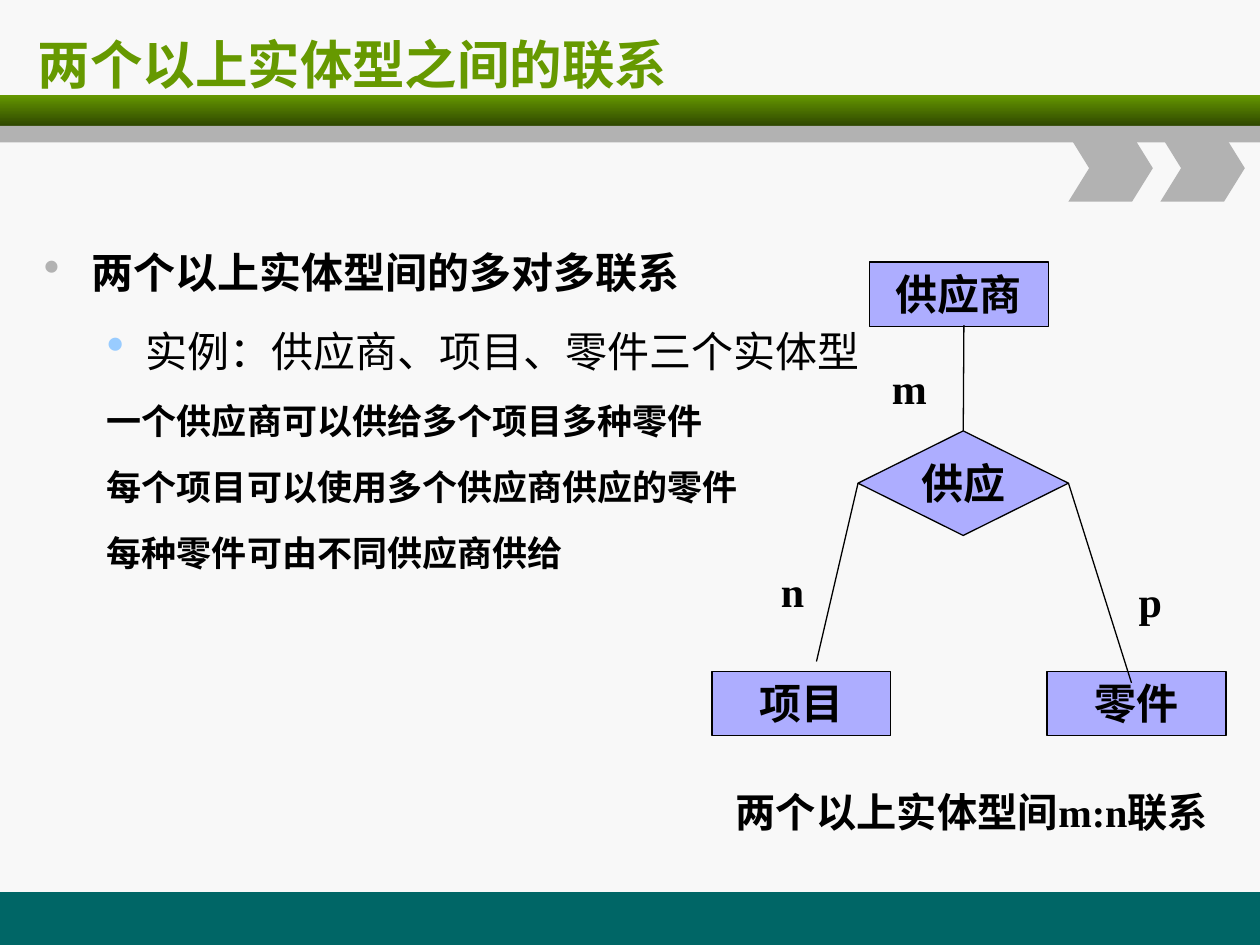
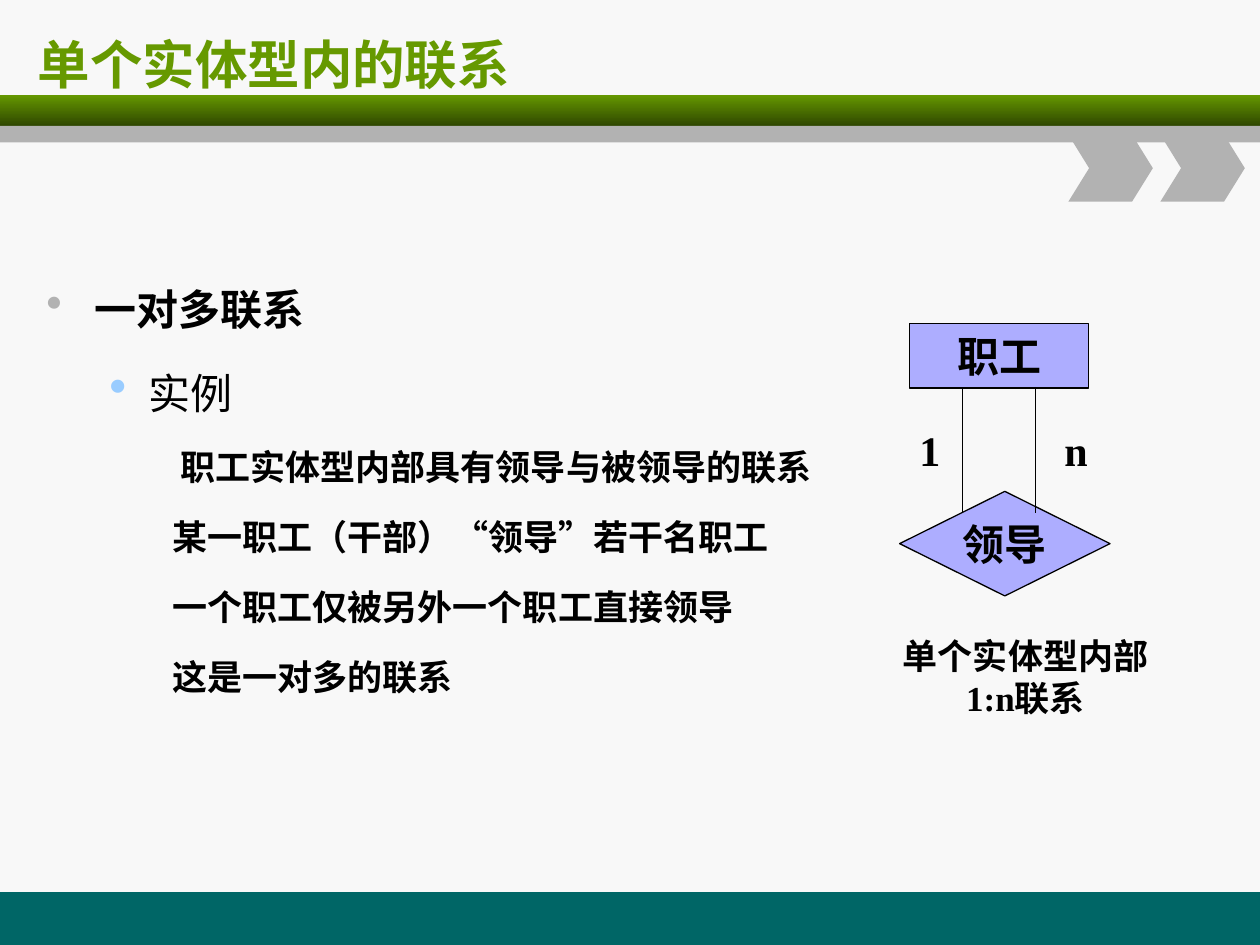
from dataclasses import dataclass

from lxml import etree
from pptx import Presentation
from pptx.dml.color import RGBColor
from pptx.enum.shapes import MSO_CONNECTOR, MSO_SHAPE
from pptx.enum.text import MSO_ANCHOR, PP_ALIGN
from pptx.oxml.ns import qn
from pptx.util import Inches, Pt

RECTANGLE, DIAMOND, CHEVRON = MSO_SHAPE.RECTANGLE, MSO_SHAPE.DIAMOND, MSO_SHAPE.CHEVRON
STRAIGHT = MSO_CONNECTOR.STRAIGHT
LEFT, CENTER, RIGHT = PP_ALIGN.LEFT, PP_ALIGN.CENTER, PP_ALIGN.RIGHT
TOP, MIDDLE = MSO_ANCHOR.TOP, MSO_ANCHOR.MIDDLE
SITE_TOP, SITE_LEFT, SITE_RIGHT = 0, 1, 3


@dataclass(frozen=True)
class Theme:
    background: str = "F8F8F8"
    footer: str = "006666"
    green: str = "669900"
    dark_green: str = "2F4700"
    gray: str = "B2B2B2"
    sky: str = "99CCFF"
    node: str = "ADADFF"
    ink: str = "000000"
    body_font: str = "DejaVu Sans"
    quote_font: str = "Arial"
    diagram_font: str = "Times New Roman"
    title_size: int = 30
    heading_size: int = 24
    detail_size: int = 20
    line_width: float = 0.75


THEME = Theme()
NODE_SIZES = {RECTANGLE: (1.42, 0.51), DIAMOND: (1.67, 0.83)}
LABEL_SIZE = (0.42, 0.5)

# level: margin, hanging indent, bullet colour, bullet percent, size, bold
LEVELS = {
    "heading": (0.38, 0.38, THEME.gray, 110, THEME.heading_size, True),
    "example": (0.81, 0.31, THEME.sky, 120, THEME.heading_size, False),
    "detail": (0.81, 0.31, None, None, THEME.detail_size, True),
    "deep detail": (1.25, 0.25, None, None, THEME.detail_size, True),
}

SLIDES = [
    {
        "title": "两个以上实体型之间的联系",
        "body": {
            "box": (0.25, 1.75, 9.5, 4.42),
            "line_spacing": 1.4,
            "paragraphs": [
                ("heading", ["两个以上实体型间的多对多联系"]),
                ("example", ["实例：供应商、项目、零件三个实体型"]),
                ("detail", ["一个供应商可以供给多个项目多种零件"]),
                ("detail", ["每个项目可以使用多个供应商供应的零件"]),
                ("detail", ["每种零件可由不同供应商供给"]),
            ],
        },
        "nodes": [
            ("供应商", RECTANGLE, 6.9, 2.08),
            ("供应", DIAMOND, 6.81, 3.42),
            ("项目", RECTANGLE, 5.65, 5.33),
            ("零件", RECTANGLE, 8.31, 5.33),
        ],
        "links": [
            ((7.65, 3.42), (7.65, 2.58), ("供应", SITE_TOP)),
            ((6.81, 3.83), (6.48, 5.25), ("供应", SITE_LEFT)),
            ((8.48, 3.83), (8.98, 5.42), ("供应", SITE_RIGHT)),
        ],
        "labels": [("m", 6.98, 2.83), ("p", 8.9, 4.52), ("n", 6.06, 4.44)],
        "caption": ("两个以上实体型间m:n联系", (5.43, 6.2, 4.57, 0.48), 23),
    },
    {
        "title": "单个实体型内的联系",
        "body": {
            "box": (0.27, 2, 6.48, 4.75),
            "line_spacing": 1.5,
            "paragraphs": [
                ("heading", ["一对多联系"]),
                ("example", ["实例"]),
                ("deep detail", [" 职工实体型内部具有领导与被领导的联系"]),
                ("deep detail", ["某一职工（干部）", "“", "领导", "”", "若干名职工"]),
                ("deep detail", ["一个职工仅被另外一个职工直接领导"]),
                ("deep detail", ["这是一对多的联系"]),
            ],
        },
        "nodes": [
            ("职工", RECTANGLE, 7.22, 2.57),
            ("领导", DIAMOND, 7.14, 3.9),
        ],
        "links": [
            ((7.64, 4.07), (7.64, 3.07), None),
            ((8.22, 3.07), (8.22, 4.07), None),
        ],
        "labels": [("1", 7.14, 3.32), ("n", 8.31, 3.32)],
        "caption": ("单个实体型内部1:n联系", (6.89, 4.99, 2.5, 0.77), 20),
    },
]


def color(value):
    return RGBColor.from_string(value)


def inches(values):
    return [Inches(value) for value in values]


def style_font(paragraph, name, size, ink=THEME.ink, bold=True):
    font = paragraph.font
    font.name, font.size, font.bold = name, Pt(size), bold
    font.color.rgb = color(ink)


def write(shape, text, name, size, alignment=LEFT, ink=THEME.ink, anchor=TOP, wrap=True):
    frame = shape.text_frame
    frame.word_wrap = wrap
    frame.vertical_anchor = anchor
    paragraph = frame.paragraphs[0]
    paragraph.add_run().text = text
    paragraph.alignment = alignment
    style_font(paragraph, name, size, ink)


def add_filled(slide, kind, box, fill):
    shape = slide.shapes.add_shape(kind, *inches(box))
    shape.shadow.inherit = False
    shape.fill.solid()
    shape.fill.fore_color.rgb = color(fill)
    shape.line.fill.background()
    return shape


def add_frame(slide, title):
    background = slide.background.fill
    background.solid()
    background.fore_color.rgb = color(THEME.background)
    add_filled(slide, RECTANGLE, (0, 7.08, 10, 0.42), THEME.footer)
    band = add_filled(slide, RECTANGLE, (0, 0.75, 10, 0.25), THEME.green)
    band.fill.gradient()
    band.fill.gradient_angle = 270
    for stop, stop_color in zip(band.fill.gradient_stops, (THEME.green, THEME.dark_green)):
        stop.color.rgb = color(stop_color)
    add_filled(slide, RECTANGLE, (0, 1, 10, 0.13), THEME.gray)
    for left in (8.48, 9.21):
        chevron = add_filled(slide, CHEVRON, (left, 1.07, 0.67, 0.53), THEME.gray)
        chevron.adjustments[0] = 0.31
    title_box = slide.shapes.add_textbox(*inches((0.2, 0.17, 9.55, 0.67)))
    write(title_box, title, THEME.body_font, THEME.title_size, ink=THEME.green, anchor=MIDDLE)


def set_indent(paragraph, margin, hanging, bullet_color, bullet_percent):
    properties = paragraph._p.get_or_add_pPr()
    properties.set("marL", str(Inches(margin)))
    properties.set("indent", str(-Inches(hanging)))
    if bullet_color is None:
        etree.SubElement(properties, qn("a:buNone"))
        return
    holder = etree.SubElement(properties, qn("a:buClr"))
    etree.SubElement(holder, qn("a:srgbClr"), val=bullet_color)
    etree.SubElement(properties, qn("a:buSzPct"), val=str(bullet_percent * 1000))
    etree.SubElement(properties, qn("a:buChar"), char="•")


def add_body(slide, body):
    frame = slide.shapes.add_textbox(*inches(body["box"])).text_frame
    frame.word_wrap = True
    for index, (level, runs) in enumerate(body["paragraphs"]):
        paragraph = frame.add_paragraph() if index else frame.paragraphs[0]
        *indent, size, bold = LEVELS[level]
        set_indent(paragraph, *indent)
        paragraph.line_spacing = body["line_spacing"]
        paragraph.space_before = Pt(size * 0.2)
        style_font(paragraph, THEME.body_font, size, bold=bold)
        for text in runs:
            run = paragraph.add_run()
            run.text = text
            if text in ("“", "”"):
                run.font.name = THEME.quote_font


def add_node(slide, text, kind, left, top):
    node = add_filled(slide, kind, (left, top, *NODE_SIZES[kind]), THEME.node)
    node.line.color.rgb = color(THEME.ink)
    node.line.width = Pt(THEME.line_width)
    is_diamond = kind == DIAMOND
    write(node, text, THEME.diagram_font, THEME.heading_size, CENTER,
          anchor=MIDDLE if is_diamond else TOP, wrap=not is_diamond)
    return node


def add_link(slide, start, end, joint, nodes):
    link = slide.shapes.add_connector(STRAIGHT, *inches(start + end))
    link.line.color.rgb = color(THEME.ink)
    link.line.width = Pt(THEME.line_width)
    etree.SubElement(link._element.spPr, qn("a:effectLst"))
    if joint:
        name, site = joint
        link.begin_connect(nodes[name], site)


def add_diagram(slide, content):
    nodes = {node[0]: add_node(slide, *node) for node in content["nodes"]}
    for start, end, joint in content["links"]:
        add_link(slide, start, end, joint, nodes)
    for text, left, top in content["labels"]:
        label = slide.shapes.add_textbox(*inches((left, top, *LABEL_SIZE)))
        write(label, text, THEME.diagram_font, THEME.heading_size, RIGHT)
    text, box, size = content["caption"]
    caption = slide.shapes.add_textbox(*inches(box))
    write(caption, text, THEME.diagram_font, size, CENTER)


def main():
    presentation = Presentation()
    presentation.slide_width, presentation.slide_height = inches((10, 7.5))
    for content in SLIDES:
        slide = presentation.slides.add_slide(presentation.slide_layouts[6])
        add_frame(slide, content["title"])
        add_body(slide, content["body"])
        add_diagram(slide, content)
    presentation.save("out.pptx")


if __name__ == "__main__":
    main()
